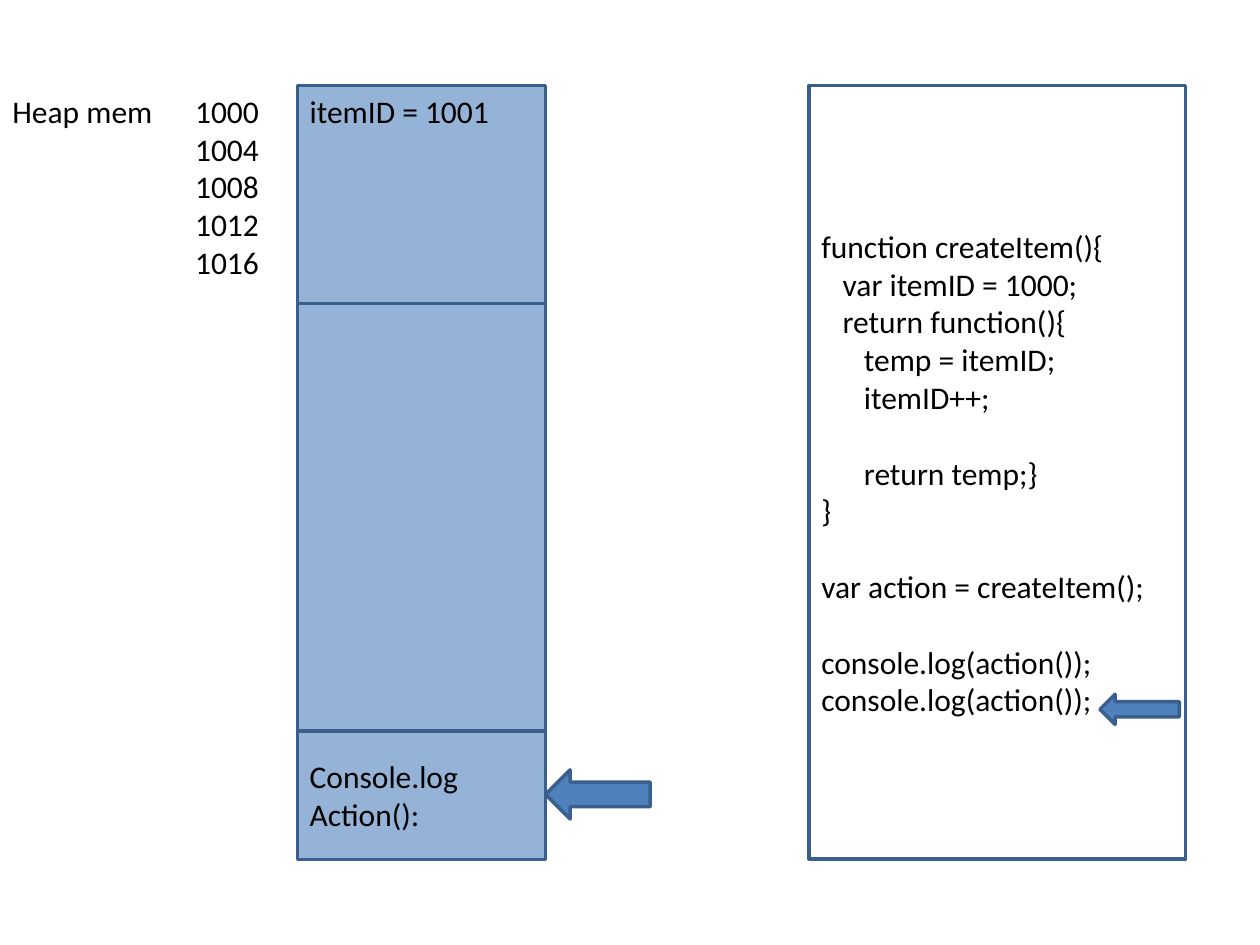
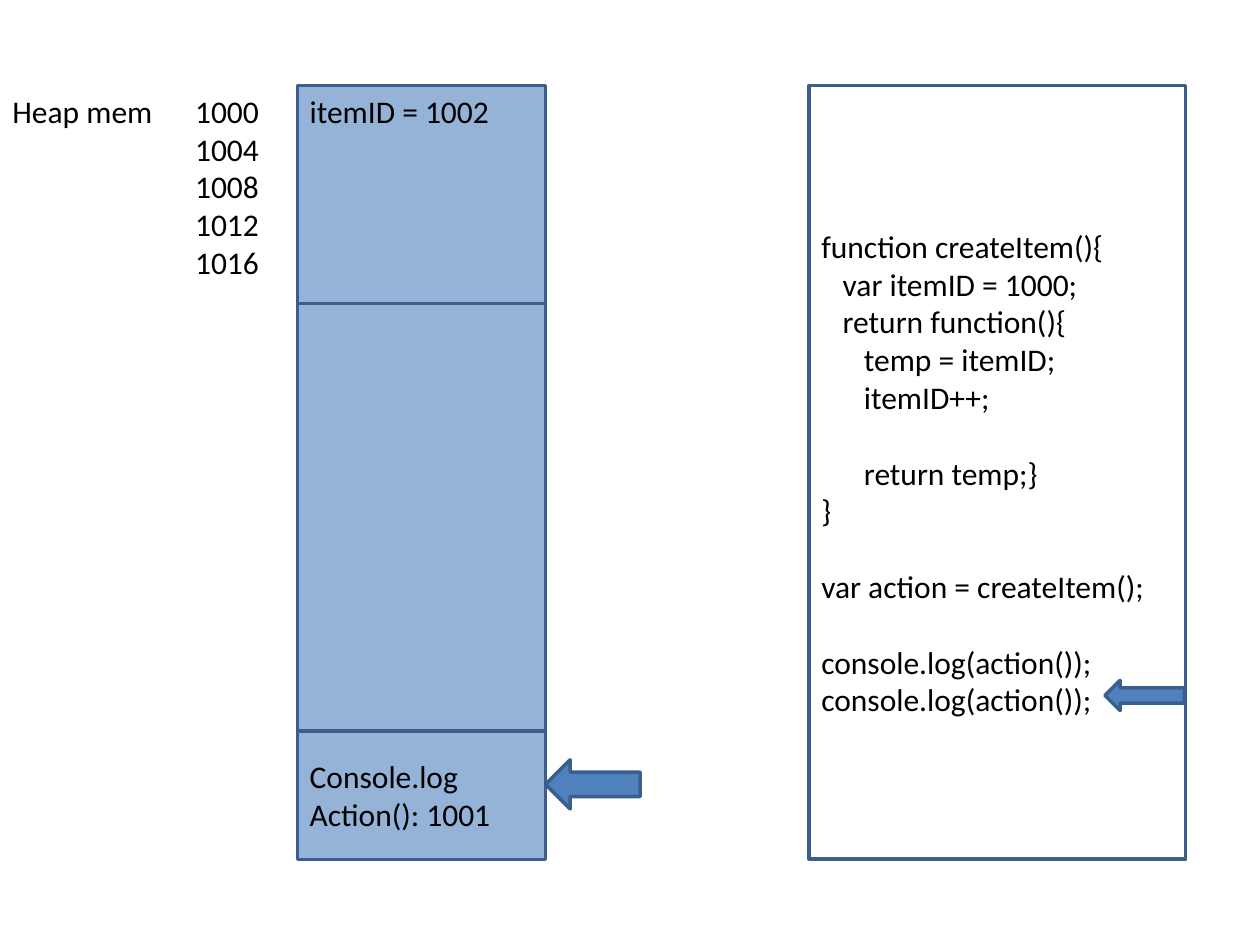
from lxml.etree import SubElement
from pptx import Presentation
from pptx.dml.color import RGBColor
from pptx.enum.shapes import MSO_SHAPE as Shape
from pptx.enum.text import MSO_ANCHOR as Anchor, PP_ALIGN as Align
from pptx.oxml.ns import qn
from pptx.util import Inches, Pt

COLORS = {"paper": "FFFFFF", "memory": "95B3D7", "arrow": "4F81BD",
          "outline": "3A5F8C", "text": "000000"}
FONT, FONT_SIZE, CODE_GAP = "Calibri", Pt(18), Pt(21.6)

# Blocks of code are set apart by one line of space.
CODE_BLOCKS = [
    ["function createItem(){",
     "   var itemID = 1000;",
     "   return function(){",
     "      temp = itemID;",
     "      itemID++;"],
    ["      return temp;}",
     "}"],
    ["var action = createItem();"],
    ["console.log(action());",
     "console.log(action());"],
]
HEAP_LABEL = "Heap mem"
ADDRESSES = range(1000, 1017, 4)

# Arrow boxes are left, top, width, height in inches.
STEPS = [
    {"heap": "itemID = 1001", "stack": ["Console.log", "Action():"],
     "code_arrow": (8.73, 5.51, 0.63, 0.24), "stack_arrow": (4.33, 6.11, 0.83, 0.39)},
    {"heap": "itemID = 1002", "stack": ["Console.log", "Action(): 1001"],
     "code_arrow": (8.77, 5.4, 0.63, 0.24), "stack_arrow": (4.33, 6.03, 0.75, 0.39)},
]

TOP = 0.68
MEMORY_LEFT, MEMORY_WIDTH = 2.36, 1.97
HEAP_HEIGHT, FREE_HEIGHT, STACK_HEIGHT = 1.73, 3.39, 1.02
MEMORY_HEIGHT = HEAP_HEIGHT + FREE_HEIGHT + STACK_HEIGHT
ADDRESS_INDENT = Inches(1.45)


def add_box(slide, box, fill, line="outline", lines=(), anchor=Anchor.TOP, kind=Shape.RECTANGLE):
    shape = slide.shapes.add_shape(kind, *map(Inches, box))
    shape.shadow.inherit = False
    shape.fill.solid()
    shape.fill.fore_color.rgb = RGBColor.from_string(COLORS[fill])
    shape.line.color.rgb = RGBColor.from_string(COLORS[line])
    shape.line.width = Pt(2)
    frame = shape.text_frame
    frame.vertical_anchor = anchor
    frame.text = "\n".join(lines)
    for paragraph in frame.paragraphs:
        paragraph.alignment = Align.LEFT
        for run in paragraph.runs:
            run.font.name, run.font.size = FONT, FONT_SIZE
            run.font.color.rgb = RGBColor.from_string(COLORS["text"])
    return shape


def add_code(slide):
    lines = [line for block in CODE_BLOCKS for line in block]
    shape = add_box(slide, (6.42, TOP, 2.99, MEMORY_HEIGHT), "paper",
                    lines=lines, anchor=Anchor.MIDDLE)
    start = 0
    for block in CODE_BLOCKS[:-1]:
        start += len(block)
        shape.text_frame.paragraphs[start].space_before = CODE_GAP


def add_addresses(slide):
    """Set the addresses in a column, with the heap label hanging before the first."""
    first, *others = map(str, ADDRESSES)
    shape = add_box(slide, (0, TOP, 2.32, HEAP_HEIGHT), "paper", "paper",
                    [f"{HEAP_LABEL}\t{first}", *others])
    for paragraph in shape.text_frame.paragraphs:
        paragraph._p.get_or_add_pPr().set("marL", str(ADDRESS_INDENT))
    properties = shape.text_frame.paragraphs[0]._p.pPr
    properties.set("indent", str(-ADDRESS_INDENT))
    tabs = SubElement(properties, qn("a:tabLst"))
    SubElement(tabs, qn("a:tab"), pos=str(ADDRESS_INDENT), algn="l")


def add_memory(slide, step):
    cells = [(HEAP_HEIGHT, [step["heap"]], Anchor.TOP),
             (FREE_HEIGHT, [], Anchor.MIDDLE),
             (STACK_HEIGHT, step["stack"], Anchor.MIDDLE)]
    top = TOP
    for height, lines, anchor in cells:
        add_box(slide, (MEMORY_LEFT, top, MEMORY_WIDTH, height), "memory",
                lines=lines, anchor=anchor)
        top += height


def main():
    presentation = Presentation()
    presentation.slide_width, presentation.slide_height = Inches(10), Inches(7.5)
    for step in STEPS:
        slide = presentation.slides.add_slide(presentation.slide_layouts[6])
        add_code(slide)
        add_addresses(slide)
        add_memory(slide, step)
        for arrow in ("code_arrow", "stack_arrow"):
            add_box(slide, step[arrow], "arrow", kind=Shape.LEFT_ARROW)
    presentation.save("out.pptx")


if __name__ == "__main__":
    main()
